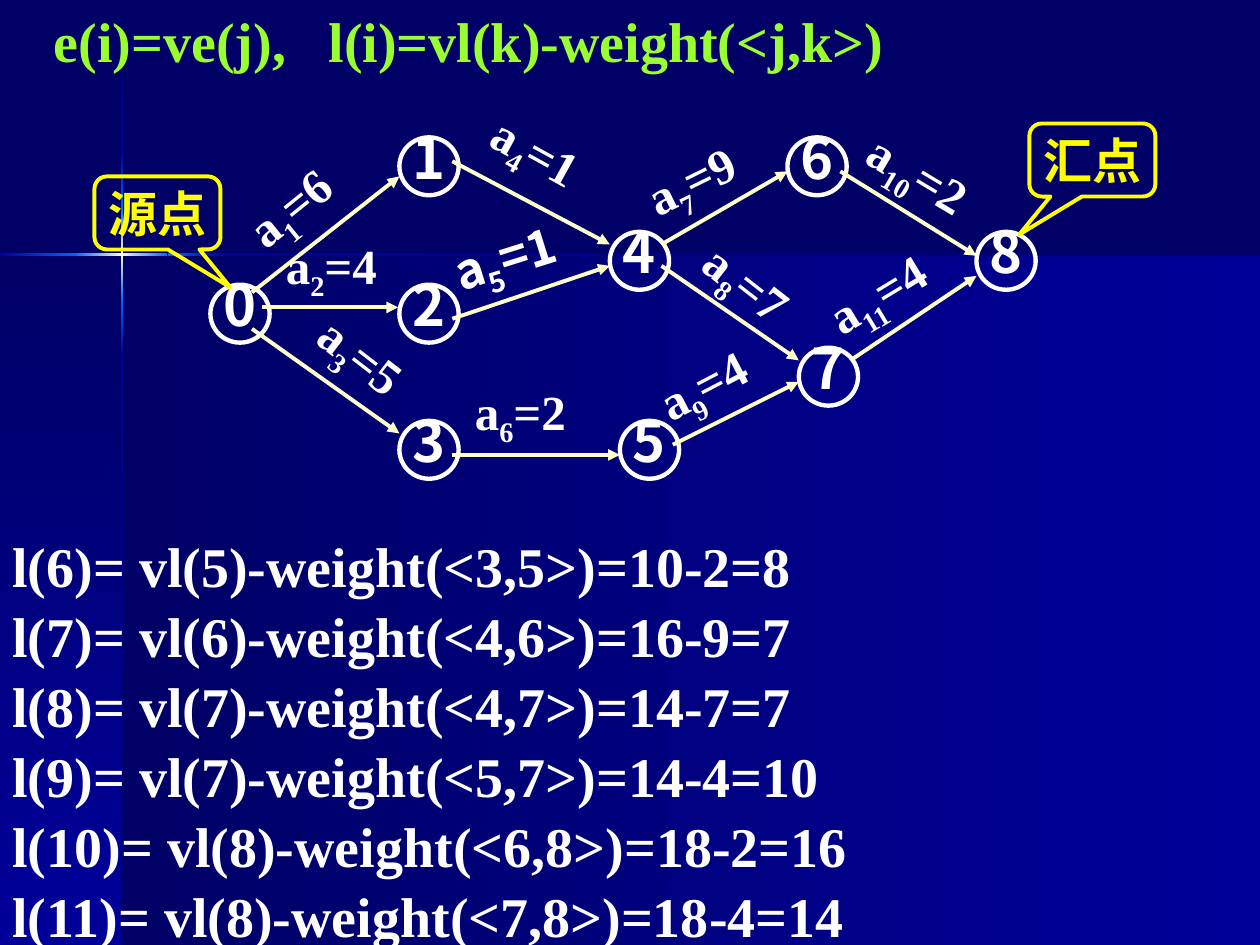
"""Build the slide of latest start times on an activity network."""
import lxml.etree
import pptx
import pptx.dml.color
import pptx.enum.shapes
import pptx.enum.text
import pptx.oxml.ns
import pptx.util

Inches = pptx.util.Inches
Pt = pptx.util.Pt
RGBColor = pptx.dml.color.RGBColor
Shape = pptx.enum.shapes.MSO_SHAPE
Align = pptx.enum.text.PP_ALIGN
Anchor = pptx.enum.text.MSO_ANCHOR
qn = pptx.oxml.ns.qn

NAVY = RGBColor(0x00, 0x00, 0x66)
BLUE = RGBColor(0x00, 0x00, 0x99)
AZURE = RGBColor(0x00, 0x66, 0xFF)
CREAM = RGBColor(0xFF, 0xFF, 0xCC)
WHITE = RGBColor(0xFF, 0xFF, 0xFF)
YELLOW = RGBColor(0xFF, 0xFF, 0x00)
LIME = RGBColor(0x99, 0xFF, 0x33)
SERIF = "Times New Roman"
SANS = "Noto Sans CJK SC"

GLOW = (AZURE, CREAM, AZURE)
BANDS = [
    (0.97, 2.02, 9.03, 5.48, 0, (NAVY, BLUE)),
    (0, 2.02, 0.97, 5.48, 90, (NAVY, BLUE)),
    (0.96, 0.01, 0.02, 1.2, 90, (NAVY, BLUE)),
    (0.96, 2.82, 0.02, 4.68, 90, (BLUE, NAVY)),
    (1.77, 2.01, 8.23, 0.02, 0, (BLUE, NAVY)),
    (0.96, 2.38, 0.02, 0.44, 90, (AZURE, BLUE)),
    (0.96, 1.21, 0.02, 0.44, 90, (BLUE, AZURE)),
    (0.96, 1.65, 0.02, 0.73, 90, GLOW),
    (0, 2.01, 0.61, 0.02, 0, (BLUE, AZURE)),
    (1.33, 2.01, 0.44, 0.02, 0, (AZURE, BLUE)),
    (0.6, 2.01, 0.73, 0.02, 0, GLOW),
]
NODES = [
    (1.67, 2.26), (3.17, 1.09), (3.17, 2.26), (3.17, 3.34), (4.84, 1.84),
    (4.92, 3.34), (6.25, 1.09), (6.34, 2.76), (7.75, 1.84),
]
EDGES = [
    (2, 2.32, 3.17, 1.4), (2.08, 2.44, 3.16, 2.44), (2, 2.61, 3.17, 3.44),
    (3.59, 1.28, 4.84, 1.94), (3.59, 2.53, 4.84, 2.11),
    (3.59, 3.61, 4.92, 3.61), (5.25, 1.94, 6.25, 1.36),
    (5.25, 2.11, 6.34, 2.86), (5.34, 3.53, 6.34, 3.03),
    (6.67, 1.36, 7.75, 2.03), (6.75, 2.86, 7.75, 2.19),
]
COSTS = [
    (6, 1.81, 1.28, 1.17, 320.9), (4, 2.17, 1.82, 1.42, 0),
    (5, 2.36, 2.69, 1.42, 37.7), (1, 3.77, 1.03, 1.42, 28.9),
    (1, 3.49, 1.7, 1.42, 342.4), (2, 3.67, 2.98, 1.42, 0),
    (9, 5, 1.03, 1.42, 333.8), (7, 5.42, 2.11, 1.42, 38),
    (4, 5.09, 2.65, 1.42, 332.4), (2, 6.75, 1.19, 1.42, 30.9),
    (4, 6.42, 1.94, 1.42, 328.8),
]
LINES = [
    "l(6)= vl(5)-weight(<3,5>)=10-2=8",
    "l(7)= vl(6)-weight(<4,6>)=16-9=7",
    "l(8)= vl(7)-weight(<4,7>)=14-7=7",
    "l(9)= vl(7)-weight(<5,7>)=14-4=10",
    "l(10)= vl(8)-weight(<6,8>)=18-2=16",
    "l(11)= vl(8)-weight(<7,8>)=18-4=14",
]


class Board:
    """Hold the slide and the style of its parts."""

    def __init__(self, slide):
        self.slide = slide
        self.shapes = slide.shapes
        self.slide.background.fill.solid()
        self.slide.background.fill.fore_color.rgb = NAVY

    def run(self, para, text, size, color=WHITE, font=SERIF, base=0):
        """Add one bold run."""
        run = para.add_run()
        run.text = text
        run.font.size = Pt(size)
        run.font.bold = True
        run.font.color.rgb = color
        run.font.name = font
        props = run.font._element
        lxml.etree.SubElement(props, qn("a:ea"), typeface=font)
        if base:
            props.set("baseline", str(base * 1000))

    def shape(self, kind, left, top, width, height):
        """Add a preset shape without a shadow."""
        shape = self.shapes.add_shape(
            kind, Inches(left), Inches(top), Inches(width), Inches(height))
        shape.shadow.inherit = False
        return shape

    def band(self, left, top, width, height, angle, colors):
        """Add a rectangle with an even gradient."""
        shape = self.shape(Shape.RECTANGLE, left, top, width, height)
        shape.line.fill.background()
        shape.fill.gradient()
        shape.fill.gradient_angle = -angle % 360
        stops = shape._element.spPr.find(".//" + qn("a:gsLst"))
        for old in list(stops):
            stops.remove(old)
        for i, color in enumerate(colors):
            place = str(100000 * i // (len(colors) - 1))
            stop = lxml.etree.SubElement(stops, qn("a:gs"), pos=place)
            lxml.etree.SubElement(stop, qn("a:srgbClr"), val=str(color))

    def ring(self, kind, box, text, size, color, width, lift=0):
        """Add an outlined shape with centred text."""
        shape = self.shape(kind, *box)
        shape.fill.background()
        shape.line.color.rgb = color
        shape.line.width = Pt(width)
        frame = shape.text_frame
        frame.word_wrap = False
        frame.vertical_anchor = Anchor.MIDDLE
        frame.margin_left = frame.margin_right = frame.margin_top = 0
        frame.margin_bottom = Inches(lift)
        para = frame.paragraphs[0]
        para.alignment = Align.CENTER
        self.run(para, text, size, color, SANS)
        return shape

    def node(self, left, top, text):
        """Add a numbered circle."""
        self.ring(Shape.OVAL, (left, top, 0.47, 0.46), text, 32, WHITE, 2.5, 0.15)

    def note(self, left, top, text, tip):
        """Add a callout whose tip leans by the given share."""
        shape = self.ring(Shape.ROUNDED_RECTANGULAR_CALLOUT,
                          (left, top, 1, 0.58), text, 28, YELLOW, 2.25)
        for i, value in enumerate((tip, 1.02, 0.17)):
            shape.adjustments[i] = value

    def edge(self, *ends):
        """Add an arrow."""
        line = self.shapes.add_connector(
            pptx.enum.shapes.MSO_CONNECTOR.STRAIGHT, *map(Inches, ends))
        line.line.color.rgb = CREAM
        line.line.width = Pt(2.25)
        lxml.etree.SubElement(line.line._get_or_add_ln(), qn("a:tailEnd"), type="triangle")
        lxml.etree.SubElement(line._element.spPr, qn("a:effectLst"))

    def text(self, left, top, width, height, turn=0):
        """Add a text box and return its frame."""
        box = self.shapes.add_textbox(
            Inches(left), Inches(top), Inches(width), Inches(height))
        box.rotation = turn
        box.text_frame.word_wrap = True
        return box.text_frame

    def cost(self, index, value, left, top, width, turn):
        """Add the label of an edge."""
        para = self.text(left, top, width, 0.57, turn).paragraphs[0]
        font = SANS if index == 5 else SERIF
        for text, base in (("a", 0), (str(index), -25), (f"={value}", 0)):
            self.run(para, text, 28, font=font, base=base)

    def title(self, text):
        """Add the heading with one tab stop."""
        para = self.text(0.33, 0, 9.67, 0.63).paragraphs[0]
        tabs = lxml.etree.SubElement(para._p.get_or_add_pPr(), qn("a:tabLst"))
        lxml.etree.SubElement(tabs, qn("a:tab"), pos=str(Inches(2.18)), algn="l")
        self.run(para, text, 32, LIME)

    def list(self, lines):
        """Add the worked lines."""
        frame = self.text(0, 4.17, 10, 3.3)
        for i, line in enumerate(lines):
            para = frame.add_paragraph() if i else frame.paragraphs[0]
            if i:
                para.space_before = Pt(1.6)
            self.run(para, line, 32)


def main():
    deck = pptx.Presentation()
    deck.slide_width, deck.slide_height = Inches(10), Inches(7.5)
    board = Board(deck.slides.add_slide(deck.slide_layouts[6]))
    for band in BANDS:
        board.band(*band)
    board.list(LINES)
    board.title("e(i)=ve(j),\tl(i)=vl(k)-weight(<j,k>)")
    for i, place in enumerate(NODES):
        board.node(*place, str(i))
    for i, cost in enumerate(COSTS, 1):
        board.cost(i, *cost)
    for edge in EDGES:
        board.edge(*edge)
    board.note(8.17, 0.98, "汇点", -0.58)
    board.note(0.75, 1.4, "源点", 0.58)
    deck.save("out.pptx")


if __name__ == "__main__":
    main()
